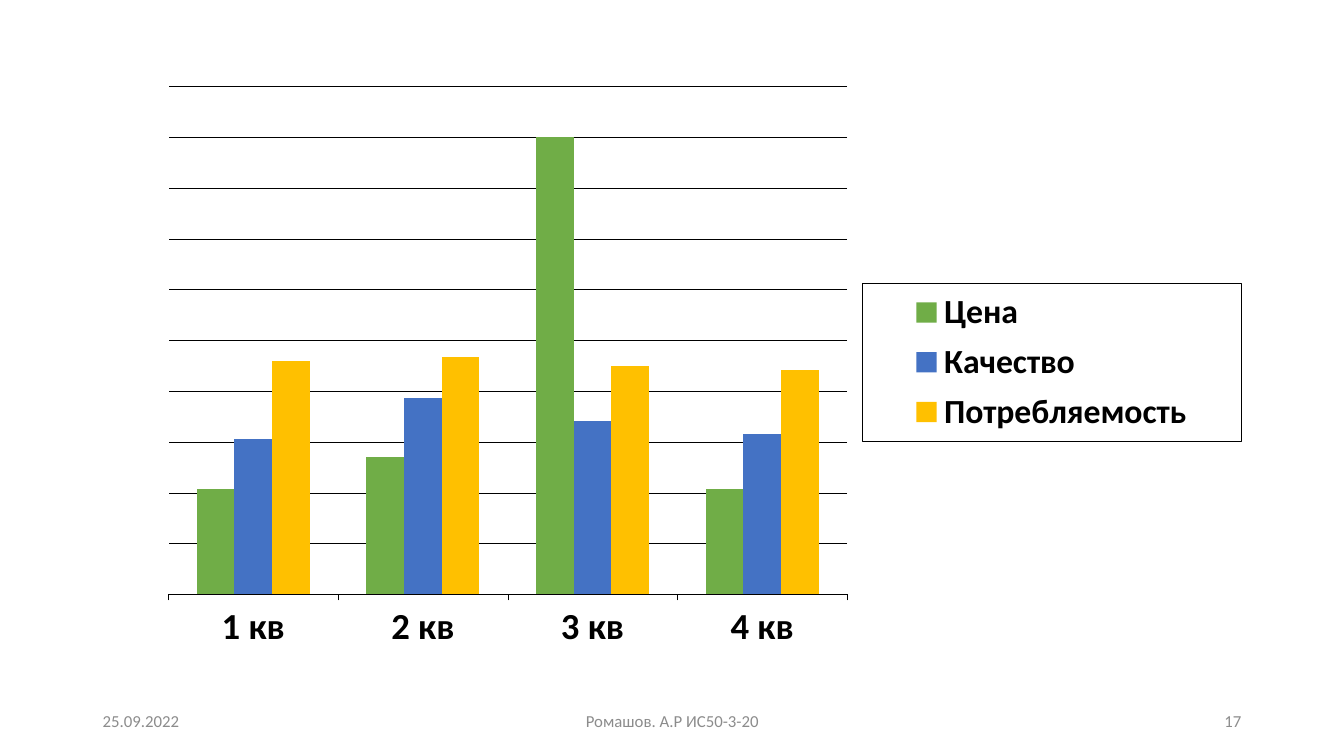
from lxml import etree
from pptx import Presentation
from pptx.chart.data import CategoryChartData
from pptx.dml.color import RGBColor
from pptx.enum.chart import (XL_CHART_TYPE, XL_LEGEND_POSITION,
                             XL_TICK_LABEL_POSITION, XL_TICK_MARK)
from pptx.enum.text import MSO_ANCHOR, PP_ALIGN
from pptx.oxml import parse_xml
from pptx.oxml.ns import nsdecls, qn
from pptx.util import Inches, Pt

COLUMNS = XL_CHART_TYPE.COLUMN_CLUSTERED
LEGEND_RIGHT = XL_LEGEND_POSITION.RIGHT
LABELS_LOW = XL_TICK_LABEL_POSITION.LOW
TICK_OUTSIDE, TICK_NONE = XL_TICK_MARK.OUTSIDE, XL_TICK_MARK.NONE
MIDDLE = MSO_ANCHOR.MIDDLE
LEFT, CENTER, RIGHT = PP_ALIGN.LEFT, PP_ALIGN.CENTER, PP_ALIGN.RIGHT

BLACK = RGBColor(0x00, 0x00, 0x00)
GRAY = RGBColor(0x8C, 0x8C, 0x8C)
GREEN = RGBColor(0x70, 0xAD, 0x47)
BLUE = RGBColor(0x44, 0x72, 0xC4)
AMBER = RGBColor(0xFF, 0xC0, 0x00)

FONT = "Calibri"
SLIDE_W, SLIDE_H = Inches(13.33), Inches(7.5)
MARGIN = 0.069
HAIRLINE = Pt(0.27)
GRID_STEP = 11.11
GRID_ROWS = 10

QUARTERS = ["1 кв", "2 кв", "3 кв", "4 кв"]
RATINGS = [
    ("Цена", [23, 30, 100, 23], GREEN),
    ("Качество", [34, 43, 38, 35], BLUE),
    ("Потребляемость", [51, 52, 50, 49], AMBER),
]
# Text, left and width as shares of the slide width, alignment
FOOTER = [
    ("25.09.2022", MARGIN, 0.225, LEFT),
    ("Ромашов. А.Р ИС50-3-20", 0.3315, 0.3375, CENTER),
    ("17", 1 - MARGIN - 0.225, 0.225, RIGHT),
]


def style_font(font, size, color, bold):
    font.name = FONT
    font.size = Pt(size)
    font.bold = bold
    font.color.rgb = color


def style_line(line):
    line.color.rgb = BLACK
    line.width = HAIRLINE


def add_footer_text(slide, text, left, width, alignment):
    box = slide.shapes.add_textbox(int(SLIDE_W * left), int(SLIDE_H * 0.927),
                                   int(SLIDE_W * width), int(SLIDE_H * 0.053))
    frame = box.text_frame
    frame.word_wrap = True
    frame.vertical_anchor = MIDDLE
    paragraph = frame.paragraphs[0]
    paragraph.alignment = alignment
    run = paragraph.add_run()
    run.text = text
    style_font(run.font, 12, GRAY, False)


def place_in_chart(element, index, x, y, w, h, inner=False):
    """Fix a chart part's position, given as shares of the chart area."""
    for old_layout in element.findall(qn("c:layout")):
        element.remove(old_layout)
    layout = parse_xml(f'<c:layout {nsdecls("c")}><c:manualLayout/></c:layout>')
    settings = [("xMode", "edge"), ("yMode", "edge"),
                ("x", x), ("y", y), ("w", w), ("h", h)]
    if inner:
        settings.insert(0, ("layoutTarget", "inner"))
    for tag, value in settings:
        etree.SubElement(layout[0], qn(f"c:{tag}")).set("val", str(value))
    element.insert(index, layout)


def style_axes(chart):
    quarters = chart.category_axis
    quarters.tick_label_position = LABELS_LOW
    quarters.major_tick_mark = TICK_OUTSIDE
    quarters.minor_tick_mark = TICK_NONE
    style_font(quarters.tick_labels.font, 26.2, BLACK, True)
    style_line(quarters.format.line)

    ratings = chart.value_axis
    ratings.visible = False
    ratings.minimum_scale = 0
    ratings.maximum_scale = GRID_STEP * GRID_ROWS
    ratings.major_unit = GRID_STEP
    ratings.has_major_gridlines = True
    style_line(ratings.major_gridlines.format.line)


def add_framed_legend(chart):
    chart.has_legend = True
    legend = chart.legend
    legend.position = LEGEND_RIGHT
    legend.include_in_layout = False
    style_font(legend.font, 24.1, BLACK, True)
    element = legend._element
    place_in_chart(element, 1, 0.67, 0.37, 0.33, 0.25)
    frame = parse_xml(
        f'<c:spPr {nsdecls("c", "a")}><a:noFill/><a:ln w="{HAIRLINE}">'
        f'<a:solidFill><a:srgbClr val="{BLACK}"/></a:solidFill></a:ln></c:spPr>')
    element.find(qn("c:txPr")).addprevious(frame)


def add_ratings_chart(slide):
    data = CategoryChartData()
    data.categories = QUARTERS
    for name, values, _ in RATINGS:
        data.add_series(name, values)
    chart = slide.shapes.add_chart(
        COLUMNS, int(SLIDE_W * MARGIN), int(SLIDE_H * 0.065),
        int(SLIDE_W * 0.8545), int(SLIDE_H * 0.837), data).chart
    chart.has_title = False
    style_font(chart.font, 26.2, BLACK, True)

    plot = chart.plots[0]
    plot.gap_width = 150
    plot.overlap = 0
    plot.vary_by_categories = False
    for series, (_, _, color) in zip(plot.series, RATINGS):
        series.format.fill.solid()
        series.format.fill.fore_color.rgb = color

    style_axes(chart)
    add_framed_legend(chart)
    plot_area = chart._chartSpace.find(f'{qn("c:chart")}/{qn("c:plotArea")}')
    place_in_chart(plot_area, 0, 0.066, 0.059, 0.591, 0.803, inner=True)


def main():
    presentation = Presentation()
    presentation.slide_width, presentation.slide_height = SLIDE_W, SLIDE_H
    slide = presentation.slides.add_slide(presentation.slide_layouts[6])
    for text, left, width, alignment in FOOTER:
        add_footer_text(slide, text, left, width, alignment)
    add_ratings_chart(slide)
    presentation.save("out.pptx")


if __name__ == "__main__":
    main()
